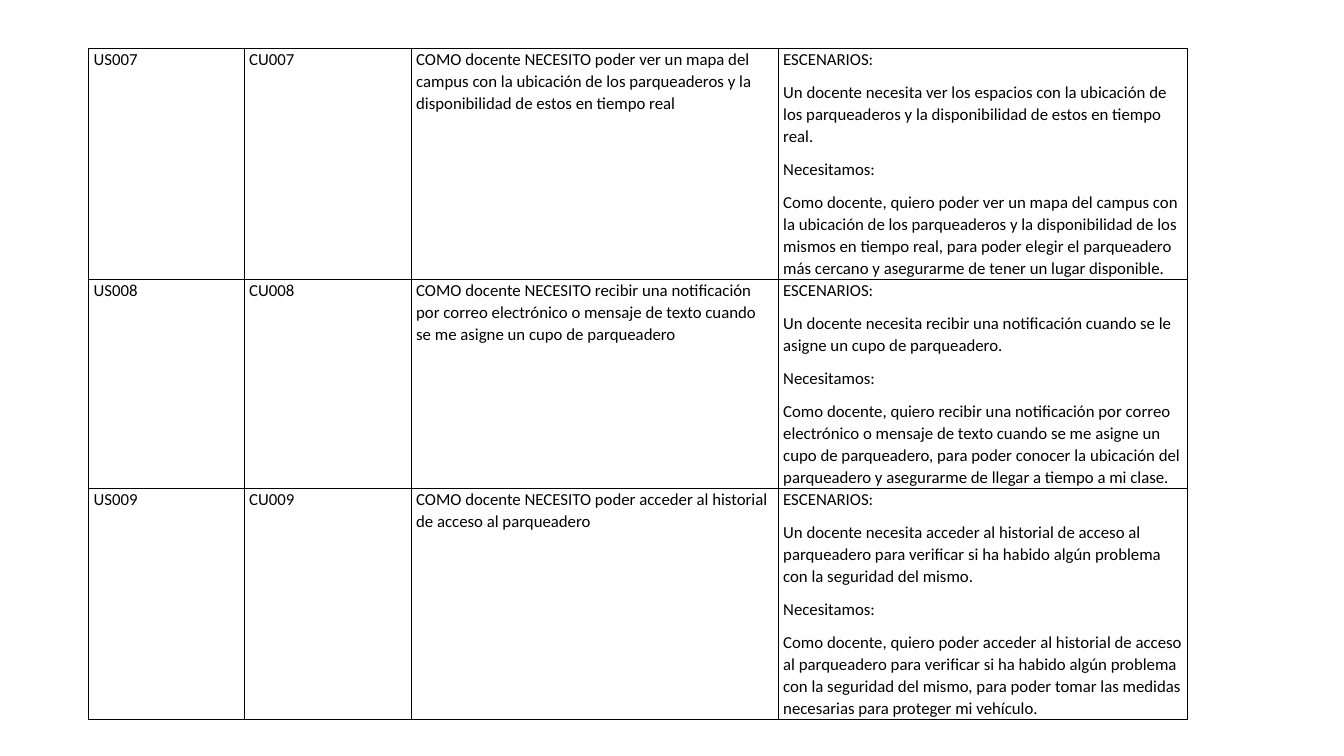
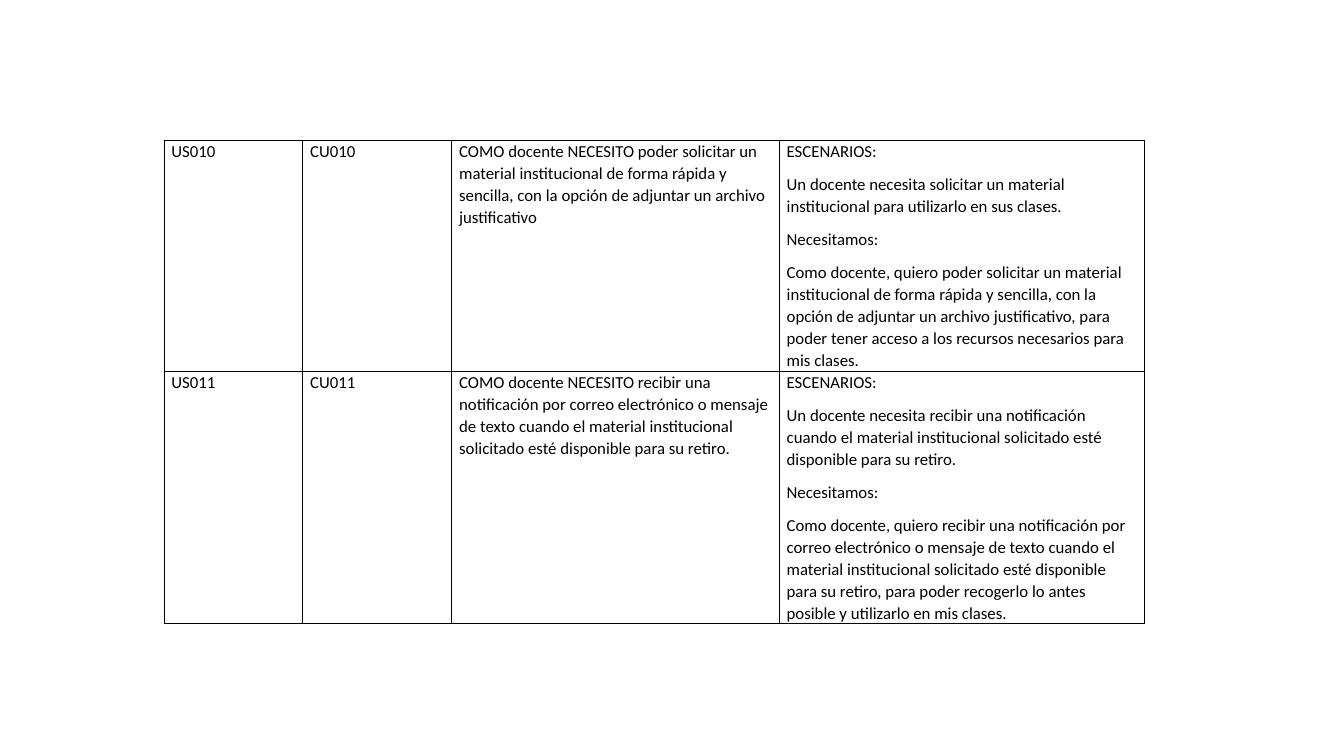
"""Build two slides of user-story tables for teachers."""
from dataclasses import dataclass

from lxml.etree import SubElement
from pptx import Presentation
from pptx.dml.color import RGBColor
from pptx.oxml.ns import qn
from pptx.presentation import Presentation as Deck
from pptx.table import _Cell as Cell
from pptx.util import Pt


@dataclass(frozen=True)
class Theme:
    font: str = "Calibri"
    text_size: float = 12
    text_color: str = "000000"
    border_color: str = "000000"
    border_width: float = 0.5
    line_spacing: float = 1.07
    space_after: float = 8
    column_shares: tuple[float, ...] = (14.15, 15.2, 33.4, 37.25)


@dataclass(frozen=True)
class Story:
    number: int
    height: float
    need: str
    scenario: str
    goal: str

    def columns(self) -> tuple[tuple[str, ...], ...]:
        return (
            (f"US{self.number:03}",),
            (f"CU{self.number:03}",),
            (f"COMO docente NECESITO {self.need}",),
            (
                "ESCENARIOS:",
                f"Un docente necesita {self.scenario}",
                "Necesitamos:",
                f"Como docente, quiero {self.goal}",
            ),
        )


@dataclass(frozen=True)
class StoryTable:
    left: float
    top: float
    width: float
    inset: float
    stories: tuple[Story, ...]


THEME = Theme()

STORY_TABLES = (
    StoryTable(63.3, 34.5, 785, 3.6, (
        Story(
            7, 165,
            "poder ver un mapa del campus con la ubicación de los parqueaderos "
            "y la disponibilidad de estos en tiempo real",
            "ver los espacios con la ubicación de los parqueaderos "
            "y la disponibilidad de estos en tiempo real.",
            "poder ver un mapa del campus con la ubicación de los parqueaderos "
            "y la disponibilidad de los mismos en tiempo real, para poder elegir "
            "el parqueadero más cercano y asegurarme de tener un lugar disponible.",
        ),
        Story(
            8, 149,
            "recibir una notificación por correo electrónico o mensaje de texto "
            "cuando se me asigne un cupo de parqueadero",
            "recibir una notificación cuando se le asigne un cupo de parqueadero.",
            "recibir una notificación por correo electrónico o mensaje de texto "
            "cuando se me asigne un cupo de parqueadero, para poder conocer la "
            "ubicación del parqueadero y asegurarme de llegar a tiempo a mi clase.",
        ),
        Story(
            9, 165,
            "poder acceder al historial de acceso al parqueadero",
            "acceder al historial de acceso al parqueadero para verificar "
            "si ha habido algún problema con la seguridad del mismo.",
            "poder acceder al historial de acceso al parqueadero para verificar "
            "si ha habido algún problema con la seguridad del mismo, para poder "
            "tomar las medidas necesarias para proteger mi vehículo.",
        ),
    )),
    StoryTable(117, 100, 700.5, 5.4, (
        Story(
            10, 165,
            "poder solicitar un material institucional de forma rápida y sencilla, "
            "con la opción de adjuntar un archivo justificativo",
            "solicitar un material institucional para utilizarlo en sus clases.",
            "poder solicitar un material institucional de forma rápida y sencilla, "
            "con la opción de adjuntar un archivo justificativo, para poder tener "
            "acceso a los recursos necesarios para mis clases.",
        ),
        Story(
            11, 180.5,
            "recibir una notificación por correo electrónico o mensaje de texto "
            "cuando el material institucional solicitado esté disponible para su retiro.",
            "recibir una notificación cuando el material institucional solicitado "
            "esté disponible para su retiro.",
            "recibir una notificación por correo electrónico o mensaje de texto "
            "cuando el material institucional solicitado esté disponible para su "
            "retiro, para poder recogerlo lo antes posible y utilizarlo en mis clases.",
        ),
    )),
)


def add_borders(cell: Cell) -> None:
    properties = cell._tc.get_or_add_tcPr()
    for side in ("lnL", "lnR", "lnT", "lnB"):
        line = SubElement(properties, qn(f"a:{side}"), w=str(Pt(THEME.border_width)))
        fill = SubElement(line, qn("a:solidFill"))
        SubElement(fill, qn("a:srgbClr"), val=THEME.border_color)


def fill_cell(cell: Cell, texts: tuple[str, ...], inset: float) -> None:
    cell.margin_left = cell.margin_right = Pt(inset)
    cell.margin_top = cell.margin_bottom = Pt(0)
    add_borders(cell)
    cell.fill.background()
    frame = cell.text_frame
    for index, text in enumerate(texts):
        paragraph = frame.add_paragraph() if index else frame.paragraphs[0]
        paragraph.line_spacing = THEME.line_spacing
        paragraph.space_after = Pt(THEME.space_after)
        run = paragraph.add_run()
        run.text = text
        run.font.name = THEME.font
        run.font.size = Pt(THEME.text_size)
        run.font.color.rgb = RGBColor.from_string(THEME.text_color)


def add_story_slide(presentation: Deck, content: StoryTable) -> None:
    slide = presentation.slides.add_slide(presentation.slide_layouts[6])
    height = sum(story.height for story in content.stories)
    shape = slide.shapes.add_table(
        len(content.stories), len(THEME.column_shares),
        Pt(content.left), Pt(content.top), Pt(content.width), Pt(height),
    )
    table = shape.table
    table.first_row = table.horz_banding = False
    for column, share in zip(table.columns, THEME.column_shares):
        column.width = Pt(content.width * share / 100)
    for row, story in zip(table.rows, content.stories):
        row.height = Pt(story.height)
        for cell, texts in zip(row.cells, story.columns()):
            fill_cell(cell, texts, content.inset)


def main() -> None:
    presentation = Presentation()
    presentation.slide_width, presentation.slide_height = Pt(960), Pt(540)
    for content in STORY_TABLES:
        add_story_slide(presentation, content)
    presentation.save("out.pptx")


if __name__ == "__main__":
    main()
